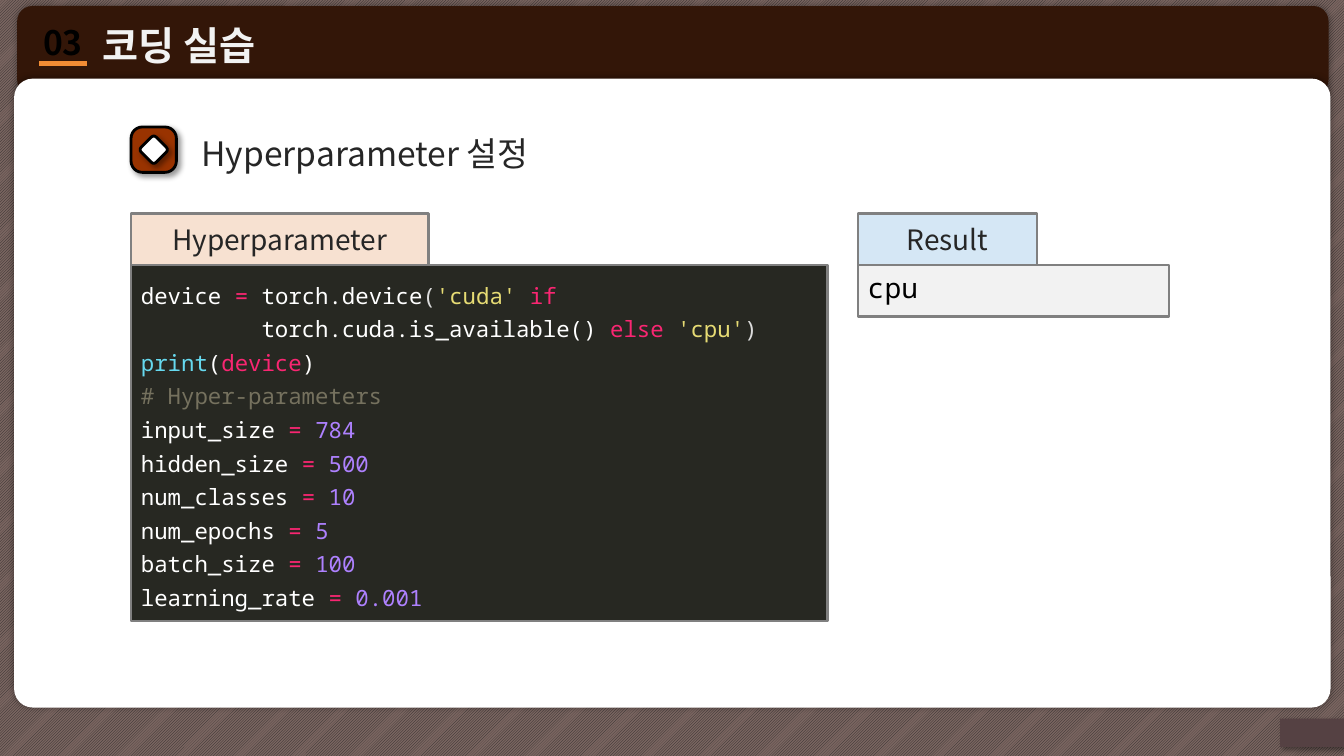
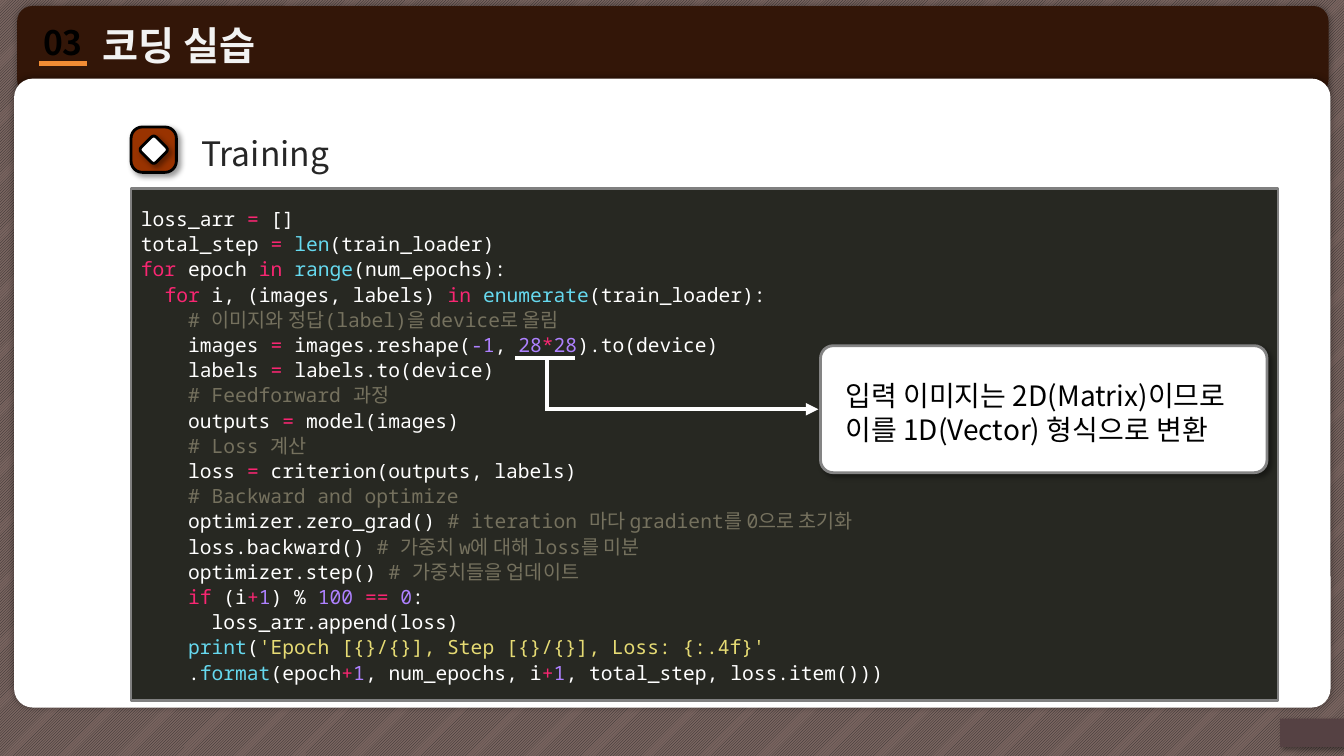
from lxml import etree
from pptx import Presentation
from pptx.dml.color import RGBColor
from pptx.enum.dml import MSO_PATTERN
from pptx.enum.shapes import MSO_CONNECTOR, MSO_SHAPE
from pptx.enum.text import MSO_ANCHOR, PP_ALIGN
from pptx.oxml.ns import qn
from pptx.util import Pt

RECT = MSO_SHAPE.RECTANGLE
ROUNDED = MSO_SHAPE.ROUNDED_RECTANGLE
STRAIGHT = MSO_CONNECTOR.STRAIGHT
HATCH = MSO_PATTERN.LIGHT_UPWARD_DIAGONAL
LEFT, CENTER = PP_ALIGN.LEFT, PP_ALIGN.CENTER
TOP, MIDDLE = MSO_ANCHOR.TOP, MSO_ANCHOR.MIDDLE

SANS = "Noto Sans CJK KR"
MONO = "Noto Sans Mono"

BLACK = RGBColor(0x00, 0x00, 0x00)
WHITE = RGBColor(0xFF, 0xFF, 0xFF)
INK = RGBColor(0x26, 0x26, 0x26)
BACKDROP = RGBColor(0x7A, 0x65, 0x60)
BAND = RGBColor(0x33, 0x16, 0x08)
PAGE_TAB = RGBColor(0x55, 0x41, 0x43)
ACCENT = RGBColor(0xF2, 0x8C, 0x34)
PALE = RGBColor(0xF2, 0xF2, 0xF2)
RUST = RGBColor(0x99, 0x33, 0x00)
PEACH = RGBColor(0xF7, 0xE1, 0xD1)
SKY = RGBColor(0x74, 0xB0, 0xDF)
BORDER = RGBColor(0x80, 0x80, 0x80)
CALLOUT_BORDER = RGBColor(0x84, 0x84, 0x84)

CODE_BACK = RGBColor(0x27, 0x28, 0x22)
KEYWORD = RGBColor(0xF9, 0x26, 0x72)
BUILTIN = RGBColor(0x66, 0xD9, 0xEF)
NUMBER = RGBColor(0xAE, 0x81, 0xFF)
STRING = RGBColor(0xE6, 0xDB, 0x74)
COMMENT = RGBColor(0x75, 0x71, 0x5E)
BRACKET = RGBColor(0xDC, 0xDC, 0xDC)

GLOW = (5, 0, 0)  # blur, distance, angle
DROP = (4, 3, 45)

CONTENT_LEFT = 93.6
RESULT_LEFT = 612.72
LABEL_TOP = 152.64
LABEL_HEIGHT = 36.72
EQUALS = ("= ", KEYWORD)
PLUS_ONE = [("+", KEYWORD), ("1", NUMBER)]

SETTINGS = {"input_size": "784", "hidden_size": "500", "num_classes": "10",
            "num_epochs": "5", "batch_size": "100", "learning_rate": "0.001"}

# A line is a list of plain strings (white) and (text, colour) pairs.
HYPERPARAMETER_CODE = [
    ["device ", EQUALS, "torch.device", ("(", BRACKET), ("'cuda' ", STRING),
     ("if", KEYWORD)],
    ["         torch.cuda.is_available() ", ("else ", KEYWORD),
     ("'cpu'", STRING), (")", BRACKET)],
    [("print", BUILTIN), "(", ("device", KEYWORD), ")"],
    [("# Hyper-parameters", COMMENT)],
] + [[name + " ", EQUALS, (value, NUMBER)] for name, value in SETTINGS.items()]

TRAINING_CODE = [
    ["loss_arr ", EQUALS, "[]"],
    ["total_step ", EQUALS, ("len", BUILTIN), "(train_loader)"],
    [("for", KEYWORD), " epoch ", ("in ", KEYWORD), ("range", BUILTIN),
     "(num_epochs):"],
    ["  ", ("for ", KEYWORD), "i, (images, labels) ", ("in ", KEYWORD),
     ("enumerate", BUILTIN), "(train_loader):"],
    [("    # 이미지와 정답(label)을 device로 올림", COMMENT)],
    ["    images ", EQUALS, "images.reshape(", ("-1", NUMBER), ", ",
     ("28", NUMBER), ("*", KEYWORD), ("28", NUMBER), ").to(device)"],
    ["    labels ", EQUALS, "labels.to(device)"],
    [("    # Feedforward 과정", COMMENT)],
    ["    outputs ", EQUALS, "model(images)"],
    [("    # Loss 계산", COMMENT)],
    ["    loss ", EQUALS, "criterion(outputs, labels)"],
    [("    # Backward and optimize", COMMENT)],
    ["    optimizer.zero_grad() ",
     ("# iteration 마다 gradient를 0으로 초기화", COMMENT)],
    ["    loss.backward() ", ("# 가중치 w에 대해 loss를 미분", COMMENT)],
    ["    optimizer.step() ", ("# 가중치들을 업데이트", COMMENT)],
    ["    ", ("if", KEYWORD), " (i", *PLUS_ONE, ") % ", ("100 ", NUMBER),
     ("== ", KEYWORD), ("0", NUMBER), ":"],
    ["      loss_arr.append(loss)"],
    ["    ", ("print", BUILTIN), "(",
     ("'Epoch [{}/{}], Step [{}/{}], Loss: {:.4f}'", STRING)],
    ["    .", ("format", BUILTIN), "(epoch", *PLUS_ONE, ", num_epochs, i",
     *PLUS_ONE, ", total_step, loss.item()))"],
]


def add_color(parent, color, opacity=100):
    """Append an a:srgbClr element, see-through when opacity is below 100."""
    node = etree.SubElement(parent, qn("a:srgbClr"), val=str(color))
    if opacity < 100:
        etree.SubElement(node, qn("a:alpha"), val=str(opacity * 1000))


def add_shadow(shape, blur, distance, angle):
    effects = shape._element.spPr.find(qn("a:effectLst"))
    shadow = etree.SubElement(
        effects, qn("a:outerShdw"), blurRad=str(Pt(blur)), dist=str(Pt(distance)),
        dir=str(angle * 60000), algn="ctr", rotWithShape="0")
    add_color(shadow, BLACK, 40)


def add_box(shapes, left, top, width, height, fill, *, kind=RECT, radius=None,
            line=None, line_width=1.75, shadow=None, opacity=100):
    box = shapes.add_shape(kind, Pt(left), Pt(top), Pt(width), Pt(height))
    if radius is not None:
        box.adjustments[0] = radius
    box.fill.solid()
    box.fill.fore_color.rgb = fill
    if opacity < 100:
        solid = box._element.spPr.find(qn("a:solidFill"))
        solid.clear()
        add_color(solid, fill, opacity)
    if line is None:
        box.line.fill.background()
    else:
        box.line.color.rgb = line
        box.line.width = Pt(line_width)
    box.shadow.inherit = False
    if shadow:
        add_shadow(box, *shadow)
    return box


def add_line(slide, x1, y1, x2, y2, color, *, arrow=False):
    line = slide.shapes.add_connector(STRAIGHT, Pt(x1), Pt(y1), Pt(x2), Pt(y2))
    line.line.color.rgb = color
    line.line.width = Pt(3)
    if arrow:
        etree.SubElement(line.line._get_or_add_ln(), qn("a:tailEnd"), type="triangle")
    etree.SubElement(line._element.spPr, qn("a:effectLst"))


def write(box, lines, *, size, color=INK, font=SANS, bold=False, align=LEFT,
          anchor=MIDDLE, inset=None, spacing=None, outline=None, wrap=True):
    """Fill a shape with lines; each is a string or a list of spans."""
    frame = box.text_frame
    frame.word_wrap = wrap
    frame.vertical_anchor = anchor
    if inset is not None:
        frame.margin_left = frame.margin_right = Pt(inset)
        frame.margin_top = frame.margin_bottom = Pt(inset)
    for index, line in enumerate(lines):
        para = frame.add_paragraph() if index else frame.paragraphs[0]
        para.alignment = align
        if spacing:
            para.line_spacing = Pt(spacing)
        for part in [line] if isinstance(line, str) else line:
            text, span_color = (part, color) if isinstance(part, str) else part
            span = para.add_run()
            span.text = text
            span.font.size = Pt(size)
            span.font.bold = bold
            span.font.color.rgb = span_color
            span.font.name = font
            properties = span.font._element
            etree.SubElement(properties, qn("a:ea"), typeface=SANS)
            if outline is not None:
                stroke = etree.Element(qn("a:ln"), w=str(Pt(1)))
                add_color(etree.SubElement(stroke, qn("a:solidFill")), outline)
                properties.insert(0, stroke)


def add_text(slide, left, top, width, height, lines, **text_format):
    box = slide.shapes.add_textbox(Pt(left), Pt(top), Pt(width), Pt(height))
    write(box, lines, **text_format)


def add_code(slide, top, width, height, lines, size, spacing):
    panel = add_box(slide.shapes, CONTENT_LEFT, top, width, height, CODE_BACK,
                    line=BORDER)
    write(panel, lines, size=size, spacing=spacing, color=WHITE, font=MONO)


def add_label(slide, left, width, text, fill, opacity=100):
    label = add_box(slide.shapes, left, LABEL_TOP, width, LABEL_HEIGHT, fill,
                    line=BORDER, opacity=opacity)
    write(label, [text], size=20, align=CENTER)


def add_heading(slide, text):
    add_text(slide, 138.96, 90, 585.36, 38.88, [text], size=24, inset=5)
    icon = slide.shapes.add_group_shape()
    style = {"kind": ROUNDED, "line": BLACK, "line_width": 2, "shadow": DROP}
    add_box(icon.shapes, CONTENT_LEFT, 90.72, 32.4, 32.4, RUST, radius=0.25, **style)
    diamond = add_box(icon.shapes, 102.24, 99.36, 15.12, 15.12, WHITE,
                      radius=0.15, **style)
    diamond.rotation = 45


def add_page(deck, heading):
    """Add a slide with the shared backdrop, title band and heading."""
    page = deck.slides.add_slide(deck.slide_layouts[6])
    backdrop = add_box(page.shapes, 0, 0, 960, 540, BACKDROP)
    backdrop.fill.patterned()
    backdrop.fill.pattern = HATCH
    backdrop.fill.fore_color.rgb = INK
    backdrop.fill.back_color.rgb = BACKDROP
    add_box(page.shapes, 12.24, 4.32, 936.72, 63.36, BAND, kind=ROUNDED,
            radius=0.17, shadow=GLOW)
    add_box(page.shapes, 10.08, 56.16, 940.32, 449.28, WHITE, kind=ROUNDED,
            radius=0.03, shadow=GLOW)
    add_box(page.shapes, 914.4, 513.36, 45.6, 20.16, PAGE_TAB, shadow=DROP)
    add_line(page, 28.08, 45.36, 61.92, 45.36, ACCENT)
    add_text(page, 21.6, 12.24, 46.8, 36, ["03"], size=24, color=BLACK, bold=True,
             align=CENTER, anchor=TOP, outline=WHITE, wrap=False)
    add_text(page, 68.4, 10.08, 619.2, 43.2, ["코딩 실습"], size=28, color=PALE,
             bold=True, inset=5, outline=INK)
    add_heading(page, heading)
    return page


def add_hyperparameter_page(deck):
    page = add_page(deck, "Hyperparameter 설정")
    body_top = LABEL_TOP + LABEL_HEIGHT
    add_label(page, CONTENT_LEFT, 212.4, "Hyperparameter", PEACH)
    add_code(page, body_top, 497.52, 254.16, HYPERPARAMETER_CODE, 16, 24)
    add_label(page, RESULT_LEFT, 128.16, "Result", SKY, opacity=30)
    result = add_box(page.shapes, RESULT_LEFT, body_top, 222.48, LABEL_HEIGHT,
                     PALE, line=BORDER)
    write(result, ["cpu"], size=20, color=BLACK, font=MONO, anchor=TOP)


def add_training_page(deck):
    page = add_page(deck, "Training")
    add_code(page, 134.64, 819.36, 365.76, TRAINING_CODE, 14, 18)
    add_line(page, 390.96, 292.32, 584.64, 292.32, WHITE, arrow=True)
    add_line(page, 390.96, 255.6, 390.96, 293.76, WHITE)
    add_box(page.shapes, 586.08, 246.96, 318.96, 90.72, WHITE, kind=ROUNDED,
            radius=0.1, line=CALLOUT_BORDER, line_width=2, shadow=DROP)
    add_text(page, 596.88, 267.12, 299.52, 55.44,
             ["입력 이미지는 2D(Matrix)이므로", "이를 1D(Vector) 형식으로 변환"],
             size=20, color=BLACK, anchor=TOP)
    add_line(page, 367.92, 255.6, 410.4, 255.6, WHITE)


def main():
    deck = Presentation()
    deck.slide_width, deck.slide_height = Pt(960), Pt(540)
    add_hyperparameter_page(deck)
    add_training_page(deck)
    deck.save("out.pptx")


if __name__ == "__main__":
    main()
